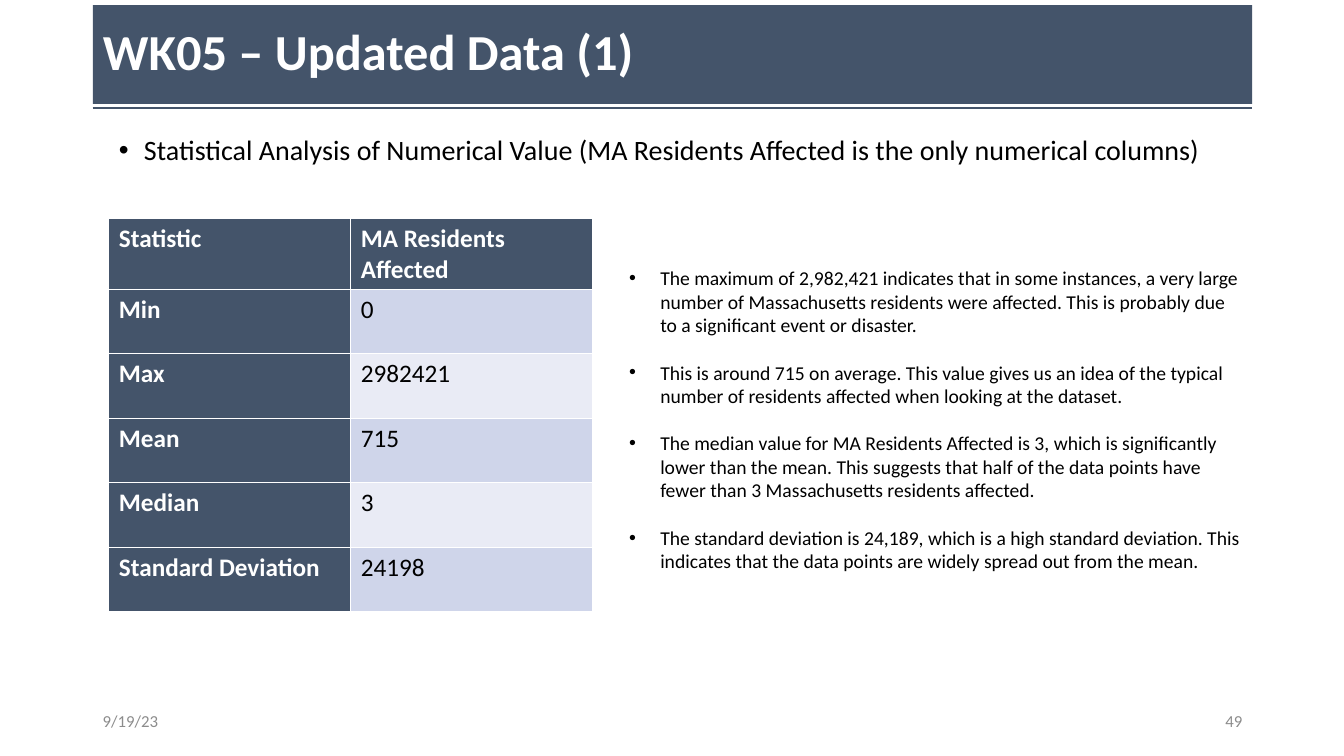
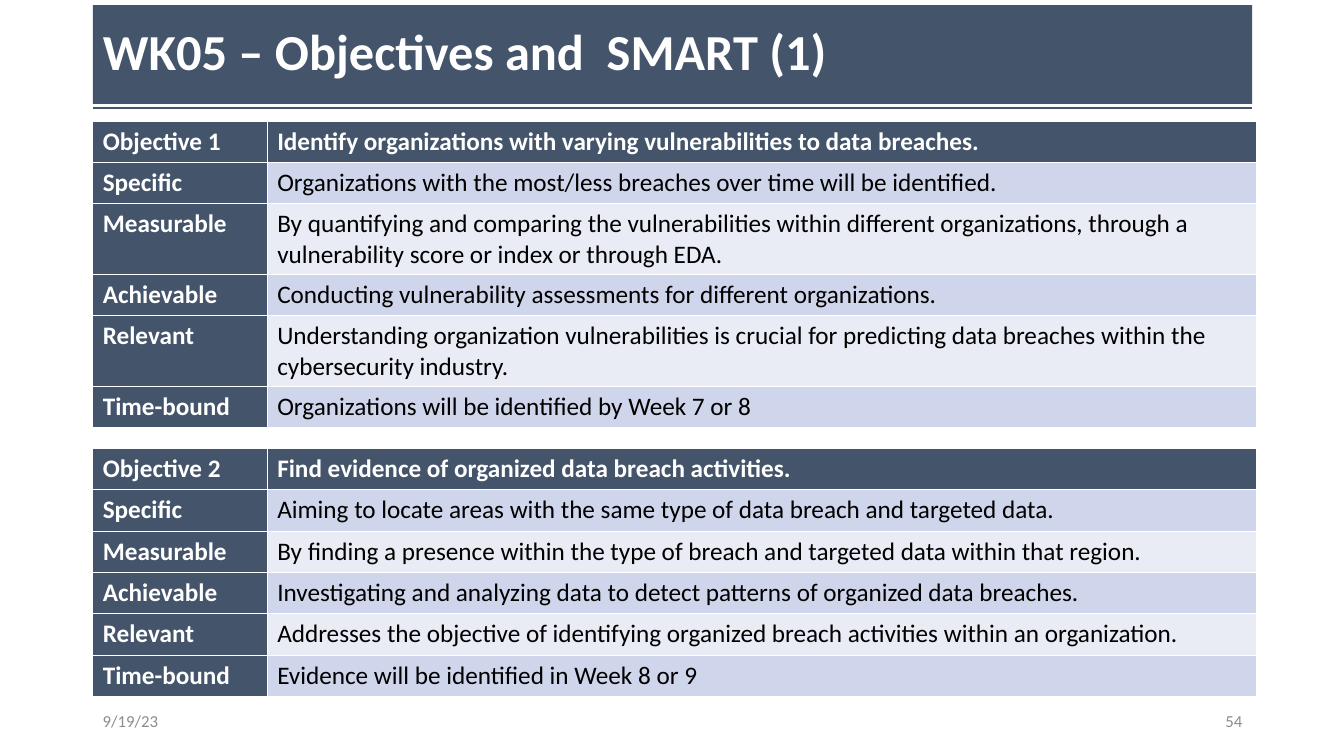
import pptx
import pptx.util
import pptx.dml.color
import pptx.enum.shapes
import pptx.enum.text
import pptx.oxml
import pptx.oxml.ns
from lxml import etree

Inches = pptx.util.Inches
Pt = pptx.util.Pt
RGBColor = pptx.dml.color.RGBColor
Align = pptx.enum.text.PP_ALIGN
Anchor = pptx.enum.text.MSO_ANCHOR
qn = pptx.oxml.ns.qn

SLATE = RGBColor(0x44, 0x54, 0x6A)
BAND_DARK = RGBColor(0xCF, 0xD5, 0xEA)
BAND_LIGHT = RGBColor(0xE9, 0xEB, 0xF5)
WHITE = RGBColor(0xFF, 0xFF, 0xFF)
BLACK = RGBColor(0x00, 0x00, 0x00)
GREY = RGBColor(0x8C, 0x8C, 0x8C)
FONT = "Calibri"
MARGIN = 0.92
CONTENT_WIDTH = 11.5
FOOTER_WIDTH = 3
SMART = ["Specific", "Measurable", "Achievable", "Relevant", "Time-bound"]


def add_run(paragraph, text, size, color, bold=False):
    run = paragraph.add_run()
    run.text = text
    run.font.name = FONT
    run.font.size = Pt(size)
    run.font.bold = bold
    run.font.color.rgb = color


def add_grid(slide, left, top, column_widths, row_height, rows):
    grid = slide.shapes.add_table(
        len(rows), len(column_widths), Inches(left), Inches(top),
        Inches(sum(column_widths)), Inches(row_height * len(rows))).table
    grid.first_row = False
    grid.horz_banding = False
    for column, width in zip(grid.columns, column_widths):
        column.width = Inches(width)
    for r, row in enumerate(rows):
        grid.rows[r].height = Inches(row_height)
        for c, text in enumerate(row):
            cell = grid.cell(r, c)
            heading = r == 0 or c == 0
            properties = cell._tc.get_or_add_tcPr()
            for side in ("lnL", "lnR", "lnT", "lnB"):
                border = etree.SubElement(properties, qn("a:" + side), w=str(Pt(1)))
                paint = etree.SubElement(border, qn("a:solidFill"))
                etree.SubElement(paint, qn("a:srgbClr"), val=str(WHITE))
            cell.fill.solid()
            if heading:
                cell.fill.fore_color.rgb = SLATE
            else:
                cell.fill.fore_color.rgb = BAND_DARK if r % 2 else BAND_LIGHT
            add_run(cell.text_frame.paragraphs[0], text, 18,
                    WHITE if heading else BLACK, heading)


deck = pptx.Presentation()
deck.slide_width = Inches(13.33)
deck.slide_height = Inches(7.5)

pages = []
for heading, number in [("WK05 – Updated Data (1)", "49"),
                        ("WK05 – Objectives and  SMART (1)", "54")]:
    page = deck.slides.add_slide(deck.slide_layouts[5])
    pages.append(page)

    title = page.shapes.title
    title.left, title.top = Inches(MARGIN), Inches(0.05)
    title.width, title.height = Inches(CONTENT_WIDTH), Inches(0.98)
    title.fill.solid()
    title.fill.fore_color.rgb = SLATE
    title.text_frame.auto_size = pptx.enum.text.MSO_AUTO_SIZE.NONE
    title.text_frame.vertical_anchor = Anchor.MIDDLE
    title_line = title.text_frame.paragraphs[0]
    title_line.alignment = Align.LEFT
    title_line.line_spacing = 0.9
    add_run(title_line, heading, 36, WHITE, True)

    rule = page.shapes.add_connector(
        pptx.enum.shapes.MSO_CONNECTOR.STRAIGHT, Inches(MARGIN), Inches(1.07),
        Inches(MARGIN + CONTENT_WIDTH), Inches(1.07))
    rule.line.color.rgb = SLATE
    rule.line.width = Pt(1.5)
    etree.SubElement(rule._element.spPr, qn("a:effectLst"))

    for left, text, alignment in [
            (MARGIN, "9/19/23", Align.LEFT),
            (MARGIN + CONTENT_WIDTH - FOOTER_WIDTH, number, Align.RIGHT)]:
        footer = page.shapes.add_textbox(
            Inches(left), Inches(6.95), Inches(FOOTER_WIDTH), Inches(0.4)).text_frame
        footer.word_wrap = True
        footer.vertical_anchor = Anchor.MIDDLE
        footer.paragraphs[0].alignment = alignment
        add_run(footer.paragraphs[0], text, 12, GREY)

data_page, objectives_page = pages

introduction = [
    "Statistical Analysis of Numerical Value (MA Residents Affected is the only numerical columns)",
]
findings = [
    "The maximum of 2,982,421 indicates that in some instances, a very large number of "
    "Massachusetts residents were affected. This is probably due to a significant event or disaster.",
    "This is around 715 on average. This value gives us an idea of the typical number of "
    "residents affected when looking at the dataset.",
    "The median value for MA Residents Affected is 3, which is significantly lower than the mean. "
    "This suggests that half of the data points have fewer than 3 Massachusetts residents affected.",
    "The standard deviation is 24,189, which is a high standard deviation. This indicates that "
    "the data points are widely spread out from the mean.",
]
for left, top, width, height, size, indent, spacing, points in [
        (1.08, 1.3, 11.5, 0.6, 20, 0.25, 0.9, introduction),
        (6.14, 2.59, 6.28, 3.47, 14, 0.31, 1.0, findings)]:
    bullets = data_page.shapes.add_textbox(
        Inches(left), Inches(top), Inches(width), Inches(height)).text_frame
    bullets.word_wrap = True
    for i, point in enumerate(points):
        paragraph = bullets.add_paragraph() if i else bullets.paragraphs[0]
        properties = paragraph._p.get_or_add_pPr()
        properties.set("marL", str(Inches(indent)))
        properties.set("indent", str(-Inches(indent)))
        etree.SubElement(properties, qn("a:buFont"), typeface="Arial")
        etree.SubElement(properties, qn("a:buChar"), char="•")
        paragraph.line_spacing = spacing
        if i:
            paragraph.space_before = Pt(17)
        add_run(paragraph, point, size, BLACK)

add_grid(data_page, 1.08, 2.17, [2.4, 2.4], 0.64, [
    ("Statistic", "MA Residents Affected"),
    ("Min", "0"),
    ("Max", "2982421"),
    ("Mean", "715"),
    ("Median", "3"),
    ("Standard Deviation", "24198"),
])

objectives = [
    (1.2, "Identify organizations with varying vulnerabilities to data breaches.", [
        "Organizations with the most/less breaches over time will be identified.",
        "By quantifying and comparing the vulnerabilities within different organizations, "
        "through a vulnerability score or index or through EDA.",
        "Conducting vulnerability assessments for different organizations.",
        "Understanding organization vulnerabilities is crucial for predicting data breaches "
        "within the cybersecurity industry.",
        "Organizations will be identified by Week 7 or 8",
    ]),
    (4.45, "Find evidence of organized data breach activities.", [
        "Aiming to locate areas with the same type of data breach and targeted data.",
        "By finding a presence within the type of breach and targeted data within that region.",
        "Investigating and analyzing data to detect patterns of organized data breaches.",
        "Addresses the objective of identifying organized breach activities within an organization.",
        "Evidence will be identified in Week 8 or 9",
    ]),
]
for number, (top, goal, criteria) in enumerate(objectives, 1):
    add_grid(objectives_page, MARGIN, top, [1.73, 9.81], 0.41,
             [(f"Objective {number}", goal), *zip(SMART, criteria)])

deck.save("out.pptx")
